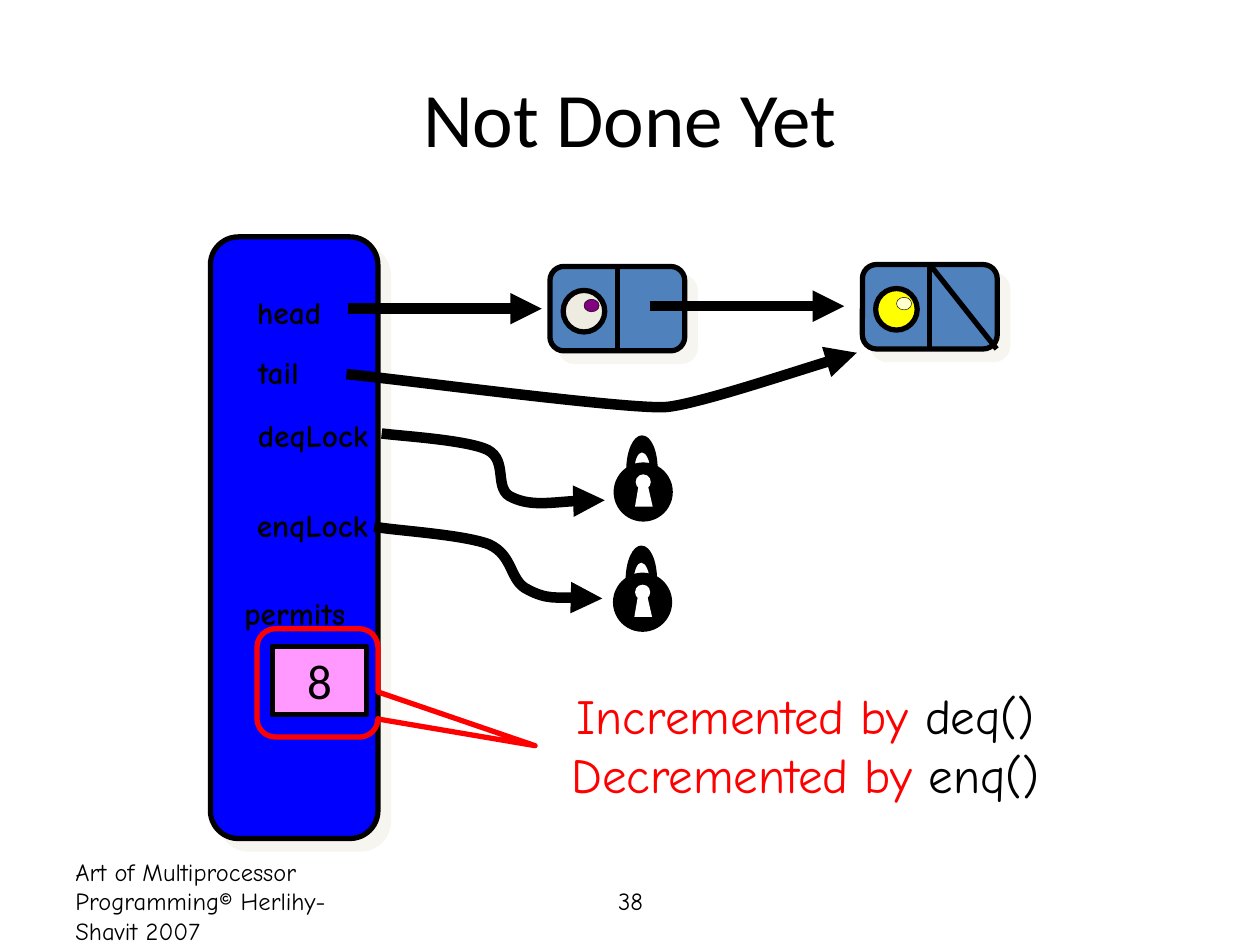
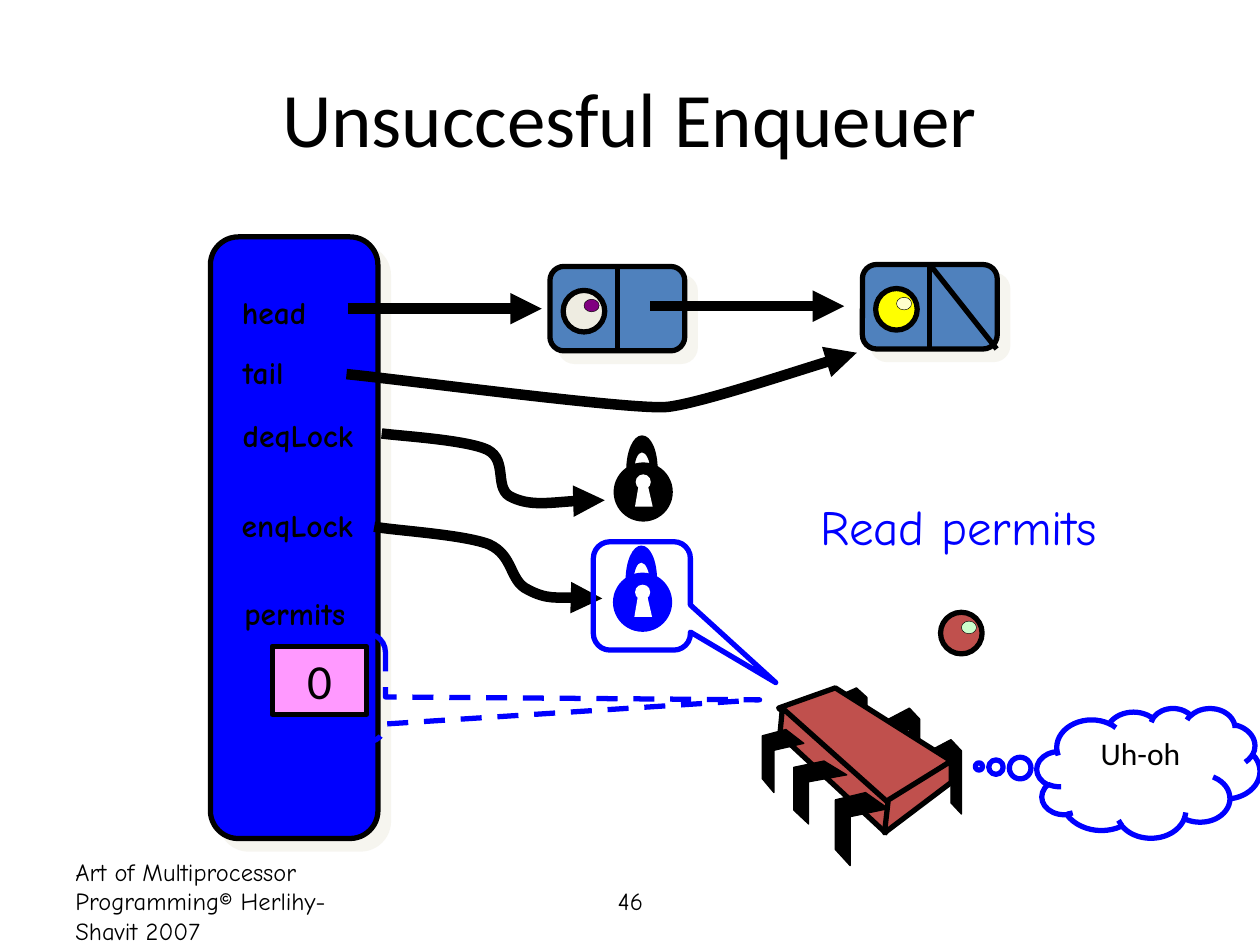
from pptx import Presentation
from pptx.dml.color import RGBColor
from pptx.enum.dml import MSO_LINE
from pptx.enum.shapes import MSO_CONNECTOR, MSO_SHAPE as SHAPE
from pptx.enum.text import MSO_ANCHOR as ANCHOR, MSO_AUTO_SIZE as AUTO_SIZE, PP_ALIGN as ALIGN
from pptx.oxml import parse_xml
from pptx.oxml.ns import nsdecls, qn
from pptx.oxml.xmlchemy import OxmlElement
from pptx.util import Emu, Inches, Pt

COLOURS = {
    "black": "000000", "white": "FFFFFF", "red": "FF0000", "blue": "0000FF",
    "node": "4F81BD", "shadow": "EEECE1", "pink": "FF99FF", "brick": "C0504D",
    "ivory": "EEECE1", "purple": "800080", "yellow": "FFFF00",
    "cream": "FFFFCC", "mint": "CCFFCC",
}
HAND, PLAIN = "Comic Neue", "Calibri"

# The slide is a grid of 100 columns by 75 square rows; all places are in cells.
SLIDE_WIDTH, SLIDE_HEIGHT = Inches(10), Inches(7.5)
CELL = SLIDE_WIDTH / 100

# Outlines of the chip's legs, as shares of each leg's size
BACK_LEG = [(0, .15), (.67, 0), (1, .15), (1, 1), (.67, .85), (.67, .28), (0, .43)]
FRONT_LEG = [(.57, 0), (1, .22), (.28, .33), (.28, 1), (0, .78), (0, .1)]


def cells(*values):
    return [Emu(round(value * CELL)) for value in values]


def colour(name):
    return RGBColor.from_string(COLOURS[name])


# Styling
def paint(shape, fill=None, line=None, width=3.0):
    shape.shadow.inherit = False
    if fill:
        shape.fill.solid()
        shape.fill.fore_color.rgb = colour(fill)
    else:
        shape.fill.background()
    if line:
        shape.line.color.rgb = colour(line)
        shape.line.width = Pt(width)
    else:
        shape.line.fill.background()
    return shape


def add_arrowhead(shape):
    head = OxmlElement("a:tailEnd")
    head.set("type", "triangle")
    shape._element.spPr.find(qn("a:ln")).append(head)


def drop_shadow(shape):
    effects = shape._element.spPr.find(qn("a:effectLst"))
    effects.append(parse_xml(
        f'<a:outerShdw {nsdecls("a")} dist="{Pt(8.5)}" dir="2700000" algn="ctr" rotWithShape="0">'
        f'<a:srgbClr val="{COLOURS["shadow"]}"><a:alpha val="50000"/></a:srgbClr></a:outerShdw>'))


# Text
def write(frame, lines, size, font=HAND, bold=False, align=ALIGN.CENTER,
          anchor=ANCHOR.TOP, wrap=True):
    """Each line is a list of (text, colour name) runs."""
    frame.word_wrap = wrap
    frame.vertical_anchor = anchor
    for index, runs in enumerate(lines):
        paragraph = frame.add_paragraph() if index else frame.paragraphs[0]
        paragraph.alignment = align
        paragraph.font.name = font
        paragraph.font.size = Pt(size)
        paragraph.font.bold = bold
        for text, name in runs:
            run = paragraph.add_run()
            run.text = text
            if len(runs) > 1:
                run.font.color.rgb = colour(name)
            else:
                paragraph.font.color.rgb = colour(name)


def add_text(slide, box, lines, size, grow=False, **style):
    frame = slide.shapes.add_textbox(*cells(*box)).text_frame
    write(frame, lines, size, **style)
    if grow:
        frame.auto_size = AUTO_SIZE.SHAPE_TO_FIT_TEXT


# Shapes and lines
def add_shape(shapes, kind, box, fill=None, line=None, width=3.0, adjust=()):
    shape = shapes.add_shape(kind, *cells(*box))
    for index, value in enumerate(adjust):
        shape.adjustments[index] = value
    return paint(shape, fill, line, width)


def add_line(shapes, start, end, width=3, arrow=False):
    line = shapes.add_connector(MSO_CONNECTOR.STRAIGHT, *cells(*start, *end))
    line.line.color.rgb = colour("black")
    line.line.width = Pt(width)
    if arrow:
        add_arrowhead(line)
    line._element.spPr.append(OxmlElement("a:effectLst"))
    return line


def add_outline(shapes, start, segments, closed=True, origin=(0, 0), **style):
    """A segment is one point for a line, or two controls and an end for a curve."""
    def place(point):
        return cells(origin[0] + point[0], origin[1] + point[1])

    builder = shapes.build_freeform(*place(start))
    builder.add_line_segments([place(point) for segment in segments for point in segment],
                              close=closed)
    shape = builder.convert_to_shape()
    steps = iter(list(shape._element.iter(qn("a:lnTo"))))
    for segment in segments:
        first, *others = [next(steps) for _ in segment]
        if others:
            first.tag = qn("a:cubicBezTo")
        for step in others:
            first.append(step[0])
            step.getparent().remove(step)
    return paint(shape, **style)


def add_polygon(shapes, points, **style):
    return add_outline(shapes, points[0], [(point,) for point in points[1:]], **style)


def add_curved_arrow(slide, start, *curves):
    add_arrowhead(add_outline(slide.shapes, start, curves, closed=False, line="black", width=6))


# Drawn objects
def add_bead(slide, x, y, fill, glint):
    shapes = slide.shapes.add_group_shape().shapes
    add_shape(shapes, SHAPE.OVAL, (x, y, 3.3, 3.3), fill, "black")
    add_shape(shapes, SHAPE.OVAL, (x + 1.65, y + .7, 1.2, 1), glint, "black", .25)


def add_node(slide, x, y, fill, glint):
    shapes = slide.shapes.add_group_shape().shapes
    box = add_shape(shapes, SHAPE.ROUNDED_RECTANGLE, (x, y, 10.7, 6.7), "node", "black")
    drop_shadow(box)
    middle = x + 10.7 / 2
    divider = add_line(shapes, (middle, y), (middle, y + 6.7))
    divider.begin_connect(box, 0)
    divider.end_connect(box, 2)
    add_bead(slide, x + 1.05, y + 1.9, fill, glint)
    return box


def add_lock(slide, x, y, fill):
    shapes = slide.shapes.add_group_shape().shapes
    add_shape(shapes, SHAPE.OVAL, (x, y, 4.7, 4.7), fill)
    add_shape(shapes, SHAPE.OVAL, (x + 1.75, y + .95, 1.2, 1.2), "white")
    keyhole = [(1.7, 3.5), (2, 1.75), (2.7, 1.75), (3.1, 3.5)]
    add_polygon(shapes, keyhole, origin=(x, y), fill="white")
    shackle = [((1.65, -.1), (1.9, -.8), (2.25, -.8)),
               ((2.6, -.8), (2.9, -.1), (2.9, .6)),
               ((3.5, .6),),
               ((3.5, -.9), (3, -2.15), (2.25, -2.15)),
               ((1.55, -2.15), (1, -.9), (1, .6))]
    add_outline(shapes, (1.65, .6), shackle, origin=(x, y), fill=fill)


def add_chip(slide):
    shapes = slide.shapes.add_group_shape().shapes

    def add_leg(outline, x, y, width, height):
        points = [(dx * width, dy * height) for dx, dy in outline]
        add_polygon(shapes, points, origin=(x, y), fill="black", line="black", width=.75)

    for leg in ((73.8, 58.7, 2.5, 5.9), (70.5, 56.2, 2.5, 5.9), (66.3, 54.6, 2.5, 5)):
        add_leg(BACK_LEG, *leg)
    top = [(66.3, 54.6), (75.5, 60.4), (70.3, 63.9), (61.8, 56.2)]
    left_side = [(62.1, 56.2), (70.5, 63.7), (70.3, 66.1), (61.9, 58.3)]
    right_side = [(75.5, 60.4), (75.5, 62.1), (70.2, 66.1), (70.5, 63.5)]
    for face in (top, left_side, right_side):
        add_polygon(shapes, face, fill="brick", line="black")
    for leg in ((66.3, 62.9, 4.2, 5.8), (63, 60.4, 4.2, 5), (60.5, 57.9, 3.3, 5)):
        add_leg(FRONT_LEG, *leg)


def add_callout(slide, box, line, tip):
    """The callout is mirrored, so a negative tip points right."""
    callout = add_shape(slide.shapes, SHAPE.ROUNDED_RECTANGULAR_CALLOUT, box,
                        line=line, adjust=(*tip, .17))
    callout._element.spPr.find(qn("a:xfrm")).set("flipH", "1")
    return callout


# Parts that both slides share
def add_queue_slide(presentation, title, number, label_left, permits, enq_lock):
    slide = presentation.slides.add_slide(presentation.slide_layouts[6])
    add_text(slide, (5, 69.5, 23.3, 4),
             [[("Art of Multiprocessor Programming© Herlihy-Shavit 2007", "black")]], 14,
             align=ALIGN.LEFT, anchor=ANCHOR.MIDDLE)
    add_text(slide, (34.2, 69.5, 31.7, 4), [[(number, "black")]], 14, anchor=ANCHOR.MIDDLE)
    add_text(slide, (5, 3, 90, 12.5), [[(title, "black")]], 44, font=PLAIN, anchor=ANCHOR.MIDDLE)

    # Queue object with its fields
    queue = add_shape(slide.shapes, SHAPE.ROUNDED_RECTANGLE, (16.7, 18.8, 13.3, 47.75),
                      "blue", "black")
    drop_shadow(queue)
    fields = [("head", label_left, 22.75, 7.7), ("tail", label_left, 27.5, 6),
              ("deqLock", label_left, 32.5, 11.5), ("enqLock", label_left, 39.65, 11.4),
              ("permits", 17.9, 46.65, 11)]
    for name, left, top, width in fields:
        add_text(slide, (left, top, width, 4), [[(name, "black")]], 18,
                 grow=True, bold=True, wrap=False)
    counter = add_shape(slide.shapes, SHAPE.RECTANGLE, (21.6, 51.3, 7.5, 5.4), "pink", "black")
    write(counter.text_frame, [[(permits, "black")]], 28, font=PLAIN,
          anchor=ANCHOR.MIDDLE, wrap=False)

    # Linked nodes; the last one has a null pointer
    add_node(slide, 43.65, 21.15, "ivory", "purple")
    last = add_node(slide, 68.45, 21, "yellow", "cream")
    null_mark = add_line(slide.shapes, (73.8, 21), (79.1, 27.7))
    null_mark.begin_connect(last, 0)

    # Locks
    add_lock(slide, 48.7, 36.7, "black")
    add_lock(slide, 48.65, 45.45, enq_lock)

    # Pointers
    add_line(slide.shapes, (27.6, 24.5), (43, 24.5), 6, arrow=True)
    add_line(slide.shapes, (51.6, 24.3), (67, 24.3), 6, arrow=True)
    add_curved_arrow(slide, (27.5, 29.7), ((31.7, 30.1), (50.4, 32.6), (53, 32.3)),
                     ((55.5, 32), (64.9, 28.9), (68, 28)))
    add_curved_arrow(slide, (30.3, 34.4), ((31.7, 34.6), (37, 34.9), (38.7, 35.7)),
                     ((40.4, 36.6), (39.1, 38.9), (40.7, 39.5)),
                     ((42.2, 40.2), (46.5, 39.6), (48, 39.7)))
    add_curved_arrow(slide, (29.7, 41.8), ((31.2, 42.1), (36.7, 42.4), (38.8, 43.2)),
                     ((40.8, 44.1), (40.4, 46.1), (41.9, 46.8)),
                     ((43.4, 47.6), (46.5, 47.4), (47.8, 47.5)))
    return slide


def main():
    presentation = Presentation()
    presentation.slide_width, presentation.slide_height = SLIDE_WIDTH, SLIDE_HEIGHT

    # Permit counter explained
    slide = add_queue_slide(presentation, "Not Done Yet", "38", 19.1, "8", "black")
    add_callout(slide, (20.4, 49.9, 9.6, 8.6), "red", (-1.8, .58))
    add_text(slide, (32.1, 53.9, 63.7, 10.3),
             [[("Incremented by ", "red"), ("deq()", "black")],
              [("Decremented by ", "red"), ("enq()", "black")]], 28, grow=True)

    # Enqueuer finds no permits
    slide = add_queue_slide(presentation, "Unsuccesful Enqueuer", "46", 17.9, "0", "blue")
    add_callout(slide, (47.1, 43, 7.7, 8.6), "blue", (-1.38, .8))
    permits_read = add_callout(slide, (20.6, 50.3, 10, 8.6), "blue", (-3.47, .11))
    permits_read.line.dash_style = MSO_LINE.DASH
    thought = add_shape(slide.shapes, SHAPE.CLOUD_CALLOUT, (82.3, 56.2, 17.7, 10.3),
                        line="blue", adjust=(-.76, -.05))
    write(thought.text_frame, [[("Uh-oh", "black")]], 18, font=PLAIN)
    add_text(slide, (57.6, 38.9, 37, 5.7), [[("Read permits", "blue")]], 28, grow=True)
    add_bead(slide, 74.65, 48.6, "brick", "mint")
    add_chip(slide)

    presentation.save("out.pptx")


if __name__ == "__main__":
    main()
